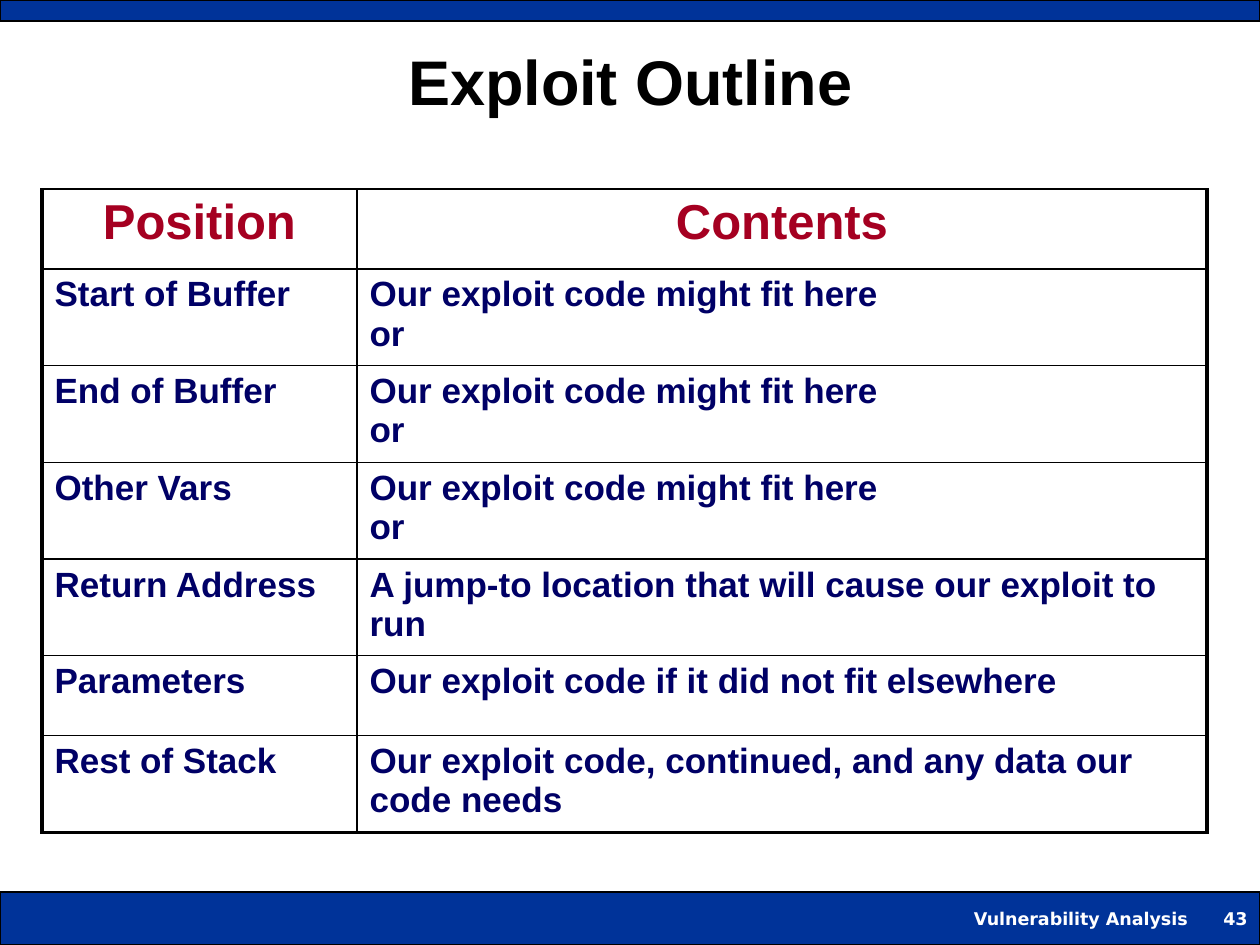
from lxml import etree
from pptx import Presentation
from pptx.dml.color import RGBColor
from pptx.enum.shapes import MSO_SHAPE
from pptx.enum.text import MSO_ANCHOR, PP_ALIGN
from pptx.oxml.ns import qn
from pptx.util import Pt

PX = 914400 // 126
RECTANGLE = MSO_SHAPE.RECTANGLE
MIDDLE = MSO_ANCHOR.MIDDLE
LEFT, CENTER, RIGHT = PP_ALIGN.LEFT, PP_ALIGN.CENTER, PP_ALIGN.RIGHT

BLACK = RGBColor(0x00, 0x00, 0x00)
WHITE = RGBColor(0xFF, 0xFF, 0xFF)
BLUE = RGBColor(0x00, 0x33, 0x99)
NAVY = RGBColor(0x00, 0x00, 0x66)
RED = RGBColor(0xA5, 0x00, 0x21)

THIN, THICK = Pt(1), Pt(2.25)
COLUMN_WIDTHS = (315, 850)
ROW_HEIGHT = 80
MIGHT_FIT = "Our exploit code might fit here\vor"
ROWS = (
    ("Position", "Contents"),
    ("Start of Buffer", MIGHT_FIT),
    ("End of Buffer", MIGHT_FIT),
    ("Other Vars", MIGHT_FIT),
    ("Return Address", "A jump-to location that will cause our exploit to run"),
    ("Parameters", "Our exploit code if it did not fit elsewhere"),
    ("Rest of Stack", "Our exploit code, continued, and any data our code needs"),
)


def px(*lengths):
    return [length * PX for length in lengths]


def write_text(text_frame, text, size, color, alignment, font_name="Arial"):
    text_frame.text = text
    paragraph = text_frame.paragraphs[0]
    paragraph.alignment = alignment
    font = paragraph.font
    font.name, font.size, font.bold = font_name, Pt(size), True
    font.color.rgb = color


def add_bar(slide, top, height):
    shape = slide.shapes.add_shape(RECTANGLE, *px(0, top, 1260, height))
    shape.shadow.inherit = False
    shape.fill.solid()
    shape.fill.fore_color.rgb = BLUE
    shape.line.color.rgb = BLACK
    shape.line.width = Pt(0.75)


def add_footer_text(slide, text, left, width):
    text_frame = slide.shapes.add_textbox(*px(left, 892, width, 53)).text_frame
    text_frame.word_wrap = True
    text_frame.vertical_anchor = MIDDLE
    write_text(text_frame, text, 10, WHITE, RIGHT, "DejaVu Sans")


def set_title(slide, text):
    title = slide.shapes.title
    title.left, title.top, title.width, title.height = px(32, 22, 1197, 116)
    title.text_frame.vertical_anchor = MIDDLE
    write_text(title.text_frame, text, 36, BLACK, CENTER)


def set_borders(cell, **widths):
    """Draw black borders; keywords are the sides L, R, T and B."""
    properties = cell._tc.get_or_add_tcPr()
    for side, width in widths.items():
        line = etree.SubElement(properties, qn(f"a:ln{side}"), w=str(width))
        fill = etree.SubElement(line, qn("a:solidFill"))
        etree.SubElement(fill, qn("a:srgbClr"), val=str(BLACK))


def add_outline_table(slide):
    row_count, column_count = len(ROWS), len(COLUMN_WIDTHS)
    frame = slide.shapes.add_table(
        row_count, column_count,
        *px(42, 189, sum(COLUMN_WIDTHS), ROW_HEIGHT * row_count))
    table = frame.table
    table.first_row = table.horz_banding = False
    for column, width in zip(table.columns, COLUMN_WIDTHS):
        column.width = width * PX
    for row_index, texts in enumerate(ROWS):
        table.rows[row_index].height = ROW_HEIGHT * PX
        style = (28, RED, CENTER) if row_index == 0 else (20, NAVY, LEFT)
        for column_index, text in enumerate(texts):
            cell = table.cell(row_index, column_index)
            write_text(cell.text_frame, text, *style)
            set_borders(
                cell,
                L=THICK if column_index == 0 else THIN,
                R=THICK if column_index == column_count - 1 else THIN,
                T=THIN,
                B=THICK if row_index == row_count - 1 else THIN)
            cell.fill.background()


def main():
    presentation = Presentation()
    presentation.slide_width, presentation.slide_height = px(1260, 945)
    slide = presentation.slides.add_slide(presentation.slide_layouts[5])
    add_bar(slide, 892, 53)
    add_bar(slide, 0, 21)
    add_footer_text(slide, "Vulnerability Analysis", 900, 300)
    add_footer_text(slide, "43", 1200, 60)
    set_title(slide, "Exploit Outline")
    add_outline_table(slide)
    presentation.save("out.pptx")


if __name__ == "__main__":
    main()
